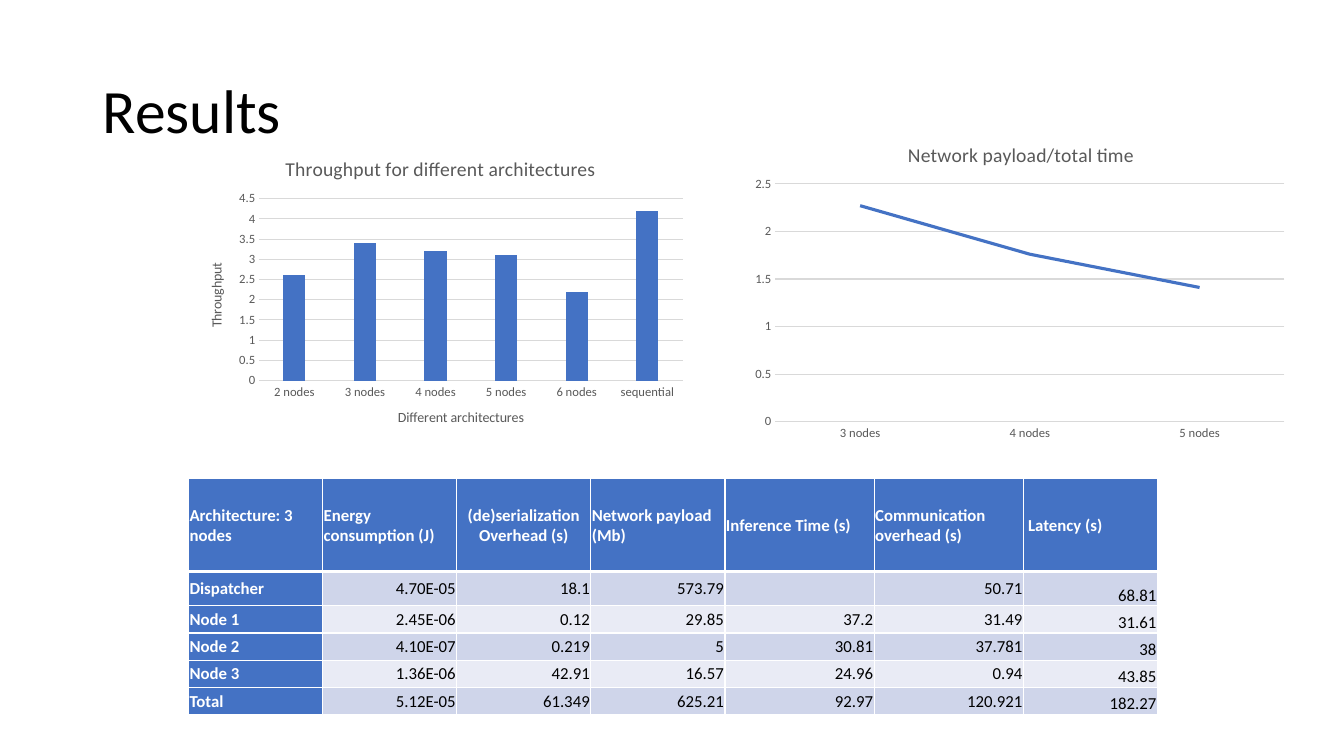
import dataclasses
import typing

import lxml.etree
import pptx
import pptx.chart.data
import pptx.dml.color
import pptx.enum.chart
import pptx.enum.text
import pptx.oxml.ns
import pptx.util

Inches = pptx.util.Inches
Pt = pptx.util.Pt
qn = pptx.oxml.ns.qn
Align = pptx.enum.text.PP_ALIGN
Anchor = pptx.enum.text.MSO_ANCHOR
ChartType = pptx.enum.chart.XL_CHART_TYPE

FONT = "Calibri"
BLUE = "4472C4"
GREY = "595959"
RULE = "D9D9D9"
BANDS = ("CFD5EA", "E9EBF5")
COLUMN_WIDTHS = (1.33, 1.33, 1.33, 1.33, 1.48, 1.48, 1.33)
ROW_HEIGHTS = (0.92, 0.34, 0.27, 0.27, 0.27, 0.27)
ROWS = (
    ("Architecture: 3 nodes", "Energy consumption (J)", "(de)serialization\nOverhead (s)",
     "Network payload (Mb)", "Inference Time (s)", "Communication overhead (s)", " Latency (s)"),
    ("Dispatcher", "4.70E-05", "18.1", "573.79", "", "50.71", "68.81"),
    ("Node 1", "2.45E-06", "0.12", "29.85", "37.2", "31.49", "31.61"),
    ("Node 2", "4.10E-07", "0.219", "5", "30.81", "37.781", "38"),
    ("Node 3", "1.36E-06", "42.91", "16.57", "24.96", "0.94", "43.85"),
    ("Total", "5.12E-05", "61.349", "625.21", "92.97", "120.921", "182.27"),
)


@dataclasses.dataclass
class ChartSpec:
    kind: typing.Any
    box: tuple[float, ...]
    plot_box: tuple[float, ...]
    title: str
    cats: tuple[str, ...]
    vals: tuple[float, ...]
    top: float
    cat_title: str = ""
    val_title: str = ""


CHARTS = (
    ChartSpec(ChartType.COLUMN_CLUSTERED, (1.87, 1.39, 5, 3.06), (0.14, 0.19, 0.84, 0.59),
              "Throughput for different architectures",
              ("2 nodes", "3 nodes", "4 nodes", "5 nodes", "6 nodes", "sequential"),
              (2.6, 3.4, 3.2, 3.1, 2.2, 4.2), 4.5, "Different architectures", "Throughput"),
    ChartSpec(ChartType.LINE, (7.36, 1.25, 5.49, 3.19), (0.06, 0.18, 0.92, 0.74),
              " Network payload/total time", ("3 nodes", "4 nodes", "5 nodes"),
              (2.27, 1.76, 1.41), 2.5),
)


def rgb(value: str) -> pptx.dml.color.RGBColor:
    return pptx.dml.color.RGBColor.from_string(value)


def set_font(font: typing.Any, size: float, color: str, bold: bool = False) -> None:
    font.name = FONT
    font.size = Pt(size)
    font.bold = bold
    font.color.rgb = rgb(color)


def write(tf: typing.Any, text: str, *, size: float, color: str, bold: bool = False,
          align: typing.Any = None, spacing: float | None = None) -> None:
    for i, line in enumerate(text.split("\n")):
        p = tf.add_paragraph() if i else tf.paragraphs[0]
        p.alignment = align
        p.line_spacing = spacing
        if line:
            r = p.add_run()
            r.text = line
            set_font(r.font, size, color, bold)


def style_axis(axis: typing.Any, title: str) -> None:
    set_font(axis.tick_labels.font, 9, GREY)
    axis.major_tick_mark = pptx.enum.chart.XL_TICK_MARK.NONE
    axis.minor_tick_mark = pptx.enum.chart.XL_TICK_MARK.NONE
    axis.has_title = bool(title)
    if title:
        write(axis.axis_title.text_frame, title, size=10, color=GREY)


def place_plot(chart: typing.Any, box: tuple[float, ...]) -> None:
    area = chart.element.find(".//" + qn("c:plotArea"))
    for old in area.findall(qn("c:layout")):
        area.remove(old)
    layout = lxml.etree.Element(qn("c:layout"))
    manual = lxml.etree.SubElement(layout, qn("c:manualLayout"))
    settings = [("layoutTarget", "inner"), ("xMode", "edge"), ("yMode", "edge")]
    for tag, value in settings + list(zip("xywh", box)):
        lxml.etree.SubElement(manual, qn("c:" + tag), val=str(value))
    area.insert(0, layout)


def add_chart(s: typing.Any, c: ChartSpec) -> None:
    data = pptx.chart.data.CategoryChartData()
    data.categories = c.cats
    data.add_series("Series 1", c.vals)
    chart = s.shapes.add_chart(c.kind, *map(Inches, c.box), data).chart
    set_font(chart.font, 10, "000000")
    chart.has_legend = False
    chart.has_title = True
    write(chart.chart_title.text_frame, c.title, size=14, color=GREY)
    chart.chart_title.include_in_layout = False
    cat, val = chart.category_axis, chart.value_axis
    style_axis(cat, c.cat_title)
    style_axis(val, c.val_title)
    val.minimum_scale, val.maximum_scale, val.major_unit = 0, c.top, 0.5
    val.format.line.fill.background()
    for line in (cat.format.line, val.major_gridlines.format.line):
        line.color.rgb = rgb(RULE)
        line.width = Pt(0.75)
    plot = chart.plots[0]
    plot.vary_by_categories = False
    series = plot.series[0]
    if c.kind == ChartType.LINE:
        series.smooth = False
        series.marker.style = pptx.enum.chart.XL_MARKER_STYLE.NONE
        series.format.line.color.rgb = rgb(BLUE)
        series.format.line.width = Pt(2.25)
    else:
        plot.gap_width, plot.overlap = 219, -27
        series.format.fill.solid()
        series.format.fill.fore_color.rgb = rgb(BLUE)
    place_plot(chart, c.plot_box)


def set_borders(cell: typing.Any, widths: dict[str, float]) -> None:
    props = cell._tc.get_or_add_tcPr()
    for side, width in widths.items():
        line = lxml.etree.SubElement(props, qn("a:ln" + side), w=str(Pt(width)))
        fill = lxml.etree.SubElement(line, qn("a:solidFill"))
        lxml.etree.SubElement(fill, qn("a:srgbClr"), val="FFFFFF")


def fill_cell(cell: typing.Any, row: int, col: int) -> None:
    header = row == 0
    label = header or col == 0
    align = Align.LEFT if label else Align.RIGHT
    if header and col == 2:
        align = Align.CENTER
    cell.margin_left = cell.margin_right = cell.margin_top = Inches(0.01)
    cell.margin_bottom = 0
    last = col == len(COLUMN_WIDTHS) - 1
    cell.vertical_anchor = Anchor.BOTTOM if last and not header else Anchor.MIDDLE
    set_borders(cell, {"L": 1, "R": 1, "T": 3 if row == 1 else 1, "B": 3 if header else 1})
    cell.fill.solid()
    cell.fill.fore_color.rgb = rgb(BLUE if label else BANDS[(row - 1) % 2])
    write(cell.text_frame, ROWS[row][col], size=12,
          color="FFFFFF" if label else "000000", bold=label, align=align)


def add_results_table(s: typing.Any) -> None:
    box = map(Inches, (1.87, 4.75, sum(COLUMN_WIDTHS), sum(ROW_HEIGHTS)))
    table = s.shapes.add_table(len(ROW_HEIGHTS), len(COLUMN_WIDTHS), *box).table
    for column, width in zip(table.columns, COLUMN_WIDTHS):
        column.width = Inches(width)
    for row, height in enumerate(ROW_HEIGHTS):
        table.rows[row].height = Inches(height)
        for col in range(len(COLUMN_WIDTHS)):
            fill_cell(table.cell(row, col), row, col)


def add_title(s: typing.Any, text: str) -> None:
    tf = s.shapes.add_textbox(*map(Inches, (0.92, 0.4, 11.5, 1.45))).text_frame
    tf.word_wrap = True
    tf.vertical_anchor = Anchor.MIDDLE
    write(tf, text, size=44, color="000000", spacing=0.9)


def main() -> None:
    prs = pptx.Presentation()
    prs.slide_width, prs.slide_height = Inches(13.33), Inches(7.5)
    s = prs.slides.add_slide(prs.slide_layouts[6])
    add_title(s, "Results")
    for c in CHARTS:
        add_chart(s, c)
    add_results_table(s)
    prs.save("out.pptx")


if __name__ == "__main__":
    main()
